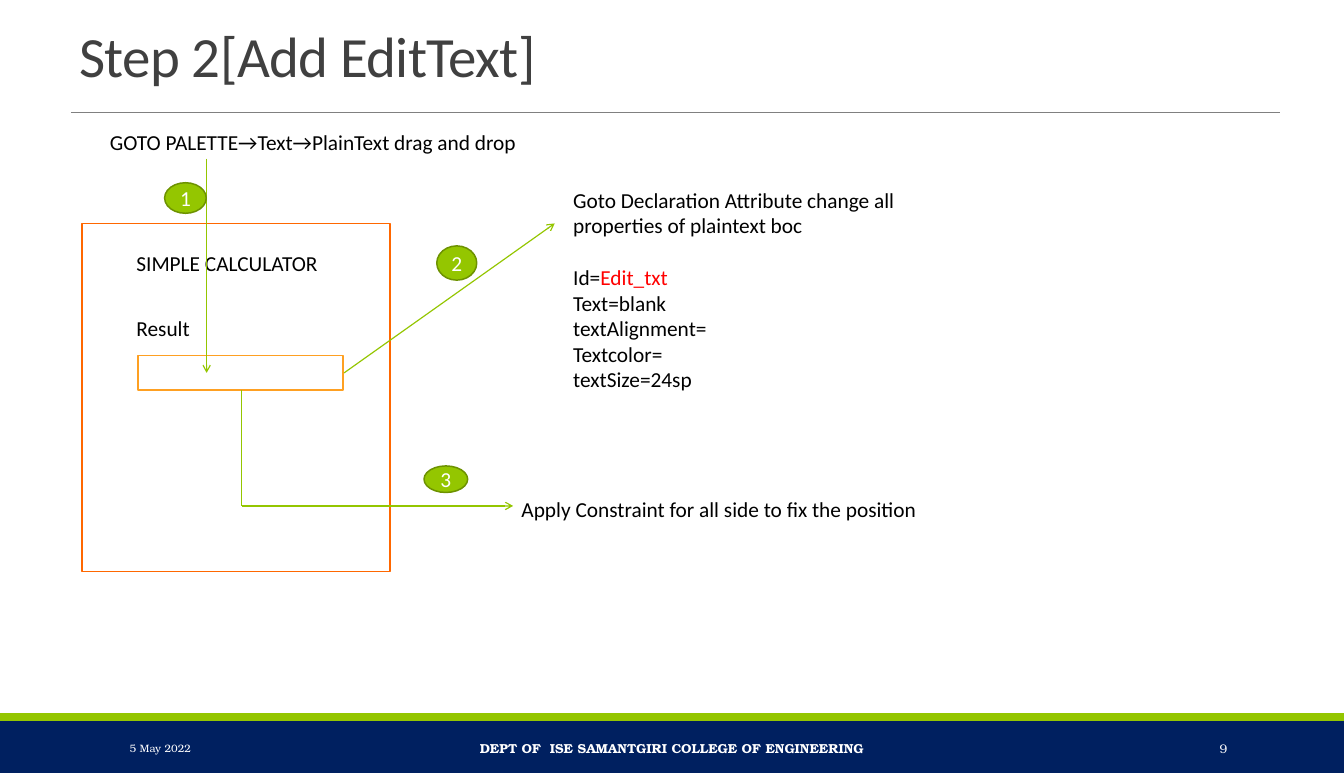
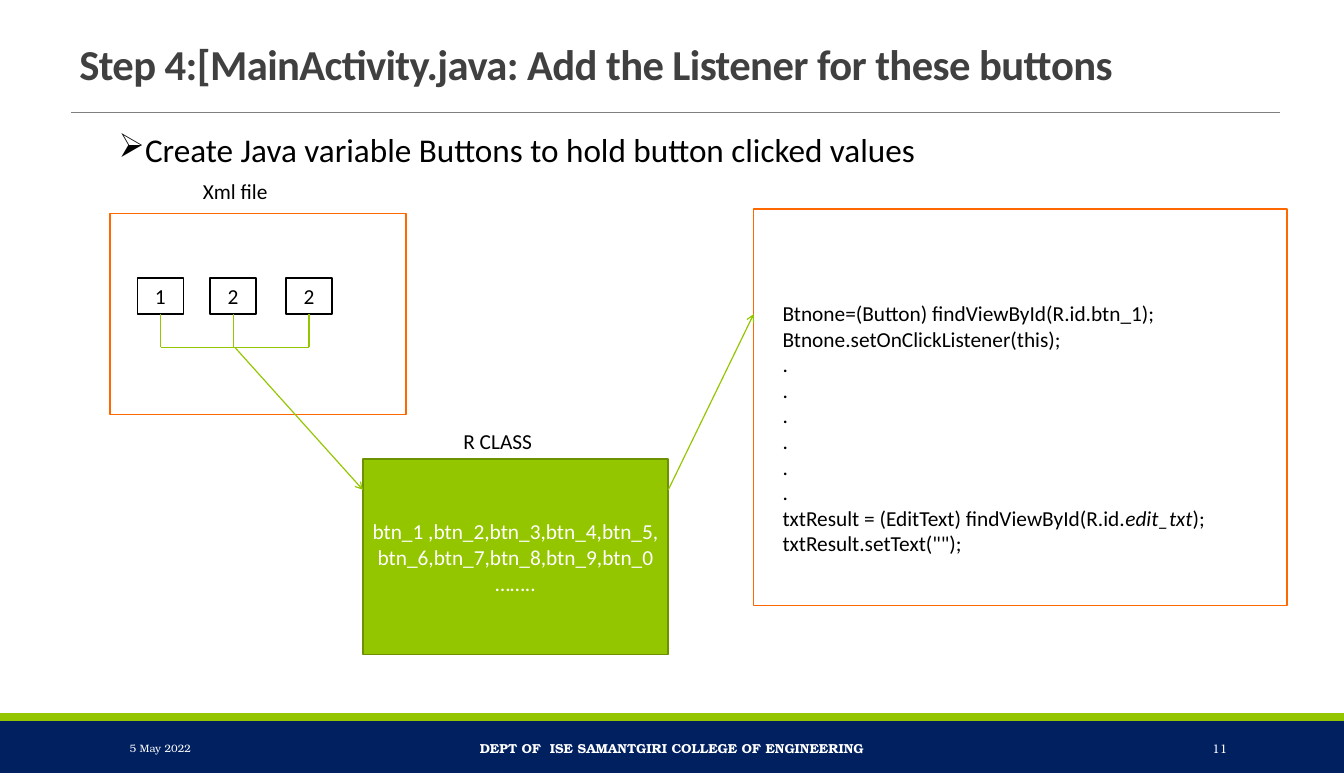
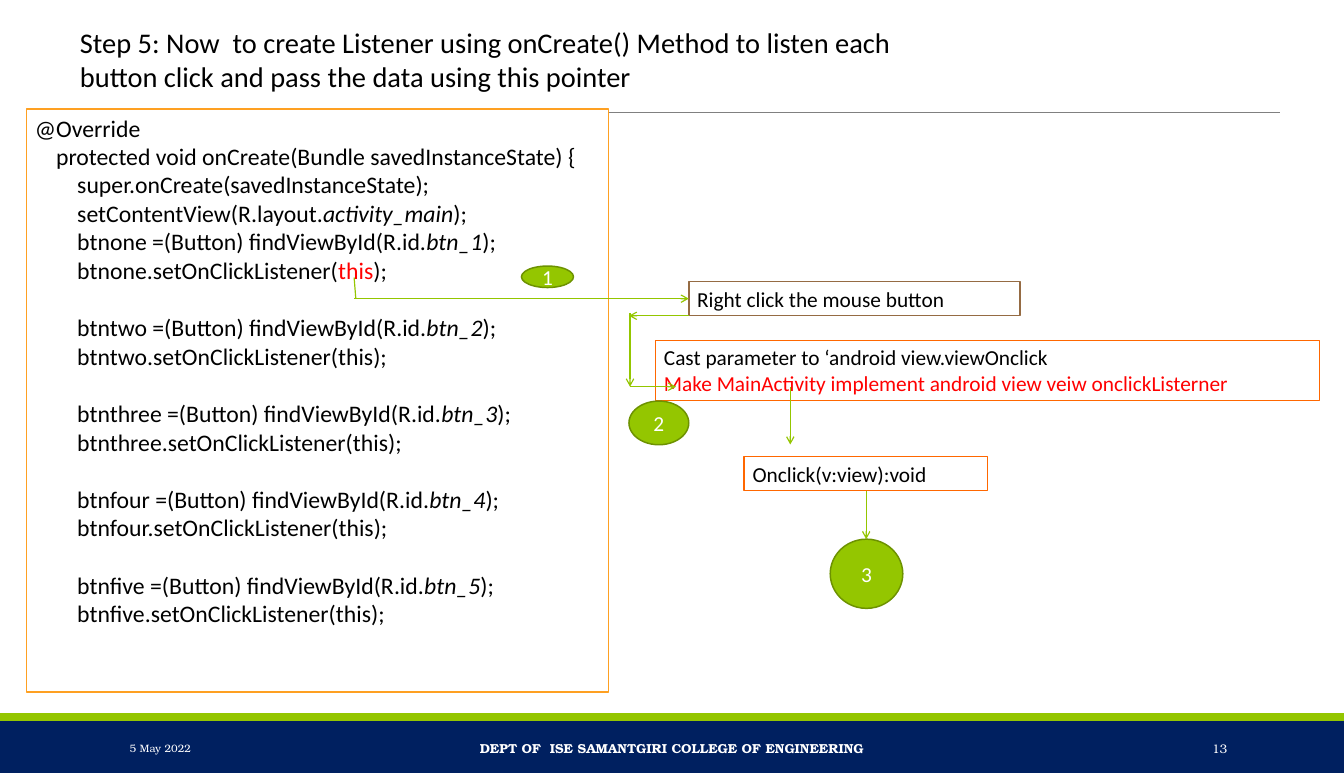
import pptx
import pptx.util
import pptx.dml.color
import pptx.enum.shapes
import pptx.enum.text
import pptx.oxml.ns
import lxml.etree

Cm, Pt = pptx.util.Cm, pptx.util.Pt
Form = pptx.enum.shapes.MSO_SHAPE
Align = pptx.enum.text.PP_ALIGN
Anchor = pptx.enum.text.MSO_ANCHOR
qn = pptx.oxml.ns.qn

HUES = {
    "navy": "002060", "lime": "94C600", "moss": "6D9200", "grey": "808080",
    "ink": "404040", "black": "000000", "white": "FFFFFF", "red": "FF0000",
    "orange": "FF6700", "amber": "FEA022", "brown": "956B43",
}
RGB = {name: pptx.dml.color.RGBColor.from_string(code) for name, code in HUES.items()}


def put(page, text, at, form=None, fill=None, edge=None, font="Calibri", size=18,
        hue="black", bold=False, align=Align.LEFT, anchor=Anchor.TOP,
        tight=None, space=None, bullet=None):
    """Text has one paragraph a line: ^ leaves a line above, > indents,
    | parts the runs, and a run opens with * for italic or ! for red."""
    box = [Cm(n) for n in at]
    if form is None:
        shape = page.shapes.add_textbox(*box)
    else:
        shape = page.shapes.add_shape(form, *box)
        shape.shadow.inherit = False
        shape.fill.solid()
        shape.fill.fore_color.rgb = RGB[fill]
        if edge:
            shape.line.color.rgb = RGB[edge]
            shape.line.width = Pt(1.25)
        else:
            shape.line.fill.background()
    if not text:
        return
    frame = shape.text_frame
    frame.word_wrap = True
    frame.vertical_anchor = anchor
    for i, line in enumerate(text.split("\n")):
        para = frame.paragraphs[0] if i == 0 else frame.add_paragraph()
        para.alignment = align
        if tight:
            para.line_spacing = tight
        if line.startswith("^"):
            para.space_before = Pt(round(1.22 * size, 1))
            line = line[1:]
        depth = len(line) - len(line.lstrip(">"))
        props = para._p.get_or_add_pPr()
        if depth:
            props.set("marL", str(Cm(0.63 * depth)))
        if bullet:
            props.set("marL", str(Cm(0.79)))
            props.set("indent", str(-Cm(0.79)))
            lxml.etree.SubElement(props, qn("a:buChar")).set("char", bullet)
        for part in line[depth:].split("|"):
            run = para.add_run()
            run.text = part.lstrip("*!")
            run.font.name = font
            run.font.size = Pt(size)
            run.font.bold = bold
            run.font.italic = part.startswith("*")
            run.font.color.rgb = RGB["red" if part.startswith("!") else hue]
            if space:
                run._r.get_or_add_rPr().set("spc", str(space))


def link(page, start, end, arrow=True, hue="lime", width=1):
    ends = [Cm(n) for n in (*start, *end)]
    line = page.shapes.add_connector(pptx.enum.shapes.MSO_CONNECTOR.STRAIGHT, *ends)
    line.line.color.rgb = RGB[hue]
    line.line.width = Pt(width)
    if arrow:
        lxml.etree.SubElement(line.line._get_or_add_ln(), qn("a:tailEnd")).set("type", "arrow")
    lxml.etree.SubElement(line._element.spPr, qn("a:effectLst"))


# Shared styles
MID = {"align": Align.CENTER, "anchor": Anchor.MIDDLE}
BADGE = {"form": Form.OVAL, "fill": "lime", "edge": "moss", "hue": "white", **MID}
FRAME = {"form": Form.RECTANGLE, "fill": "white", "edge": "orange"}
FOOT = {"font": "TeX Gyre Bonum", "hue": "white", "anchor": Anchor.MIDDLE}
TITLE = {"hue": "ink", "anchor": Anchor.BOTTOM, "tight": 0.85, "space": -50}
HEAD = (2.11, 0.38, 31.72, 2.41)

deck = pptx.Presentation()
deck.slide_width, deck.slide_height = Cm(40), Cm(23.01)

# Bands, rule and footer of every slide
pages = []
for number in (9, 11, 13):
    page = deck.slides.add_slide(deck.slide_layouts[6])
    put(page, "", (0, 21.46, 40, 1.55), form=Form.RECTANGLE, fill="navy")
    put(page, "", (0, 21.23, 40, 0.23), form=Form.RECTANGLE, fill="lime")
    link(page, (2.11, 3.33), (38.1, 3.33), arrow=False, hue="grey", width=0.5)
    put(page, "5 May 2022", (3.61, 21.67, 8.1, 1.22), size=9, **FOOT)
    put(page, "DEPT OF  ISE SAMANTGIRI COLLEGE OF ENGINEERING",
        (12.09, 21.67, 15.82, 1.22), size=11, bold=True, align=Align.CENTER, **FOOT)
    put(page, str(number), (32.49, 21.67, 4.29, 1.22), size=10.5, align=Align.RIGHT, **FOOT)
    pages.append(page)
edit, listen, create = pages

# Step 2: phone screen
put(edit, "Step 2[Add EditText]", HEAD, size=48, **TITLE)
put(edit, "GOTO PALETTE→Text→PlainText drag and drop", (3.02, 3.71, 30.1, 1.02))
put(edit, "", (2.44, 6.65, 9.17, 10.36), **FRAME)
put(edit, "SIMPLE CALCULATOR", (3.81, 7.32, 6.43, 1.02))
put(edit, "Result", (3.81, 9.27, 5.23, 1.02))
put(edit, "", (4.11, 10.59, 6.1, 1.02), **{**FRAME, "edge": "amber"})

# Step 2: notes and arrows
put(edit, """Goto Declaration Attribute change all properties of plaintext boc
^Id=|!Edit_txt
Text=blank
textAlignment=
Textcolor=
textSize=24sp""", (16.81, 5.44, 10.52, 6.4))
put(edit, "Apply Constraint for all side to fix the position", (15.27, 14.66, 12.98, 1.02))
link(edit, (6.15, 4.72), (6.15, 11.1))
link(edit, (10.24, 11.1), (16.51, 6.65))
link(edit, (7.19, 11.61), (7.19, 15.06), arrow=False)
link(edit, (7.19, 15.06), (15.27, 15.06))
spots = [(4.9, 5.44, 1.24, 0.91), (13, 7.32, 1.19, 1.02), (12.62, 13.87, 1.3, 0.79)]
for step, spot in enumerate(spots, 1):
    put(edit, str(step), spot, **BADGE)

# Step 4: layout file with its keys
put(listen, "Step 4:[MainActivity.java: Add the Listener for these buttons", HEAD,
    size=36, bold=True, **TITLE)
put(listen, "Create Java variable Buttons to hold button clicked values",
    (3.28, 3.73, 31.72, 1.45), size=28, bullet="➢")
put(listen, "Xml file", (5.79, 5.18, 4.09, 1.02))
put(listen, "", (3.28, 6.35, 8.81, 5.99), **FRAME)
for key, left in (("1", 4.09), ("2", 6.25), ("2", 8.51)):
    put(listen, key, (left, 8.28, 1.37, 1.07), **{**FRAME, "edge": "black"}, **MID)
    link(listen, (left + 0.69, 9.35), (left + 0.69, 10.34), arrow=False)
link(listen, (4.78, 10.34), (9.2, 10.34), arrow=False)

# Step 4: R class and code
put(listen, "R CLASS", (13.54, 12.62, 4.83, 1.02))
put(listen, "btn_1 ,btn_2,btn_3,btn_4,btn_5,btn_6,btn_7,btn_8,btn_9,btn_0……..",
    (10.8, 13.67, 9.09, 5.82), **{**BADGE, "form": Form.RECTANGLE})
put(listen, "", (22.43, 6.22, 15.88, 11.81), **FRAME)
put(listen, """Btnone=(Button) findViewById(R.id.btn_1);
Btnone.setOnClickListener(this);
.
.
.
.
.
.
txtResult = (EditText) findViewById(R.id.|*edit_txt|);
txtResult.setText("");""", (23.04, 8.81, 14.76, 8.71))
link(listen, (6.99, 10.34), (10.8, 14.58))
link(listen, (19.89, 14.58), (22.43, 9.35))

# Step 5: code
put(create, "Step 5: Now  to create Listener using onCreate() Method to listen each "
    "button click and pass the data using this pointer", (2.13, 0.61, 26.2, 2.31), size=24)
code = """@Override
>protected void onCreate(Bundle savedInstanceState) {
>>super.onCreate(savedInstanceState);
>>setContentView(R.layout.|*activity_main|);"""
for i, word in enumerate(("one", "two", "three", "four", "five"), 1):
    gap, this = ("", "|!this|") if i == 1 else ("^", "this")
    code += f"\n{gap}>>btn{word} =(Button) findViewById(R.id.|*btn_{i}|);"
    code += f"\n>>btn{word}.setOnClickListener({this});"
put(create, code, (0.79, 3.25, 17.32, 17.35), size=20, **{**FRAME, "edge": "amber"})

# Step 5: actions, badges and arrows
put(create, "Right click the mouse button", (20.5, 8.38, 9.86, 1.02),
    **{**FRAME, "edge": "brown"})
put(create, "Cast parameter to ‘android view.viewOnclick\n"
    "!Make MainActivity implement android view veiw onclickListerner",
    (19.51, 10.13, 19.76, 1.8), **FRAME)
put(create, "Onclick(v:view):void", (22.15, 13.59, 7.24, 1.02), **FRAME)
spots = [(15.52, 7.92, 1.55, 0.64), (18.72, 11.94, 1.78, 1.3), (24.71, 16.05, 2.16, 2.06)]
for step, spot in enumerate(spots, 1):
    put(create, str(step), spot, **BADGE)
link(create, (10.54, 8.26), (10.59, 8.89), arrow=False)
for start, end in (
    ((10.54, 8.89), (20.5, 8.89)),
    ((20.5, 9.4), (18.72, 9.4)),
    ((18.75, 9.32), (18.75, 11.51)),
    ((18.75, 11.51), (20.12, 11.51)),
    ((23.52, 11.51), (23.52, 13.23)),
    ((25.78, 14.61), (25.78, 16.05)),
):
    link(create, start, end)

deck.save("out.pptx")
